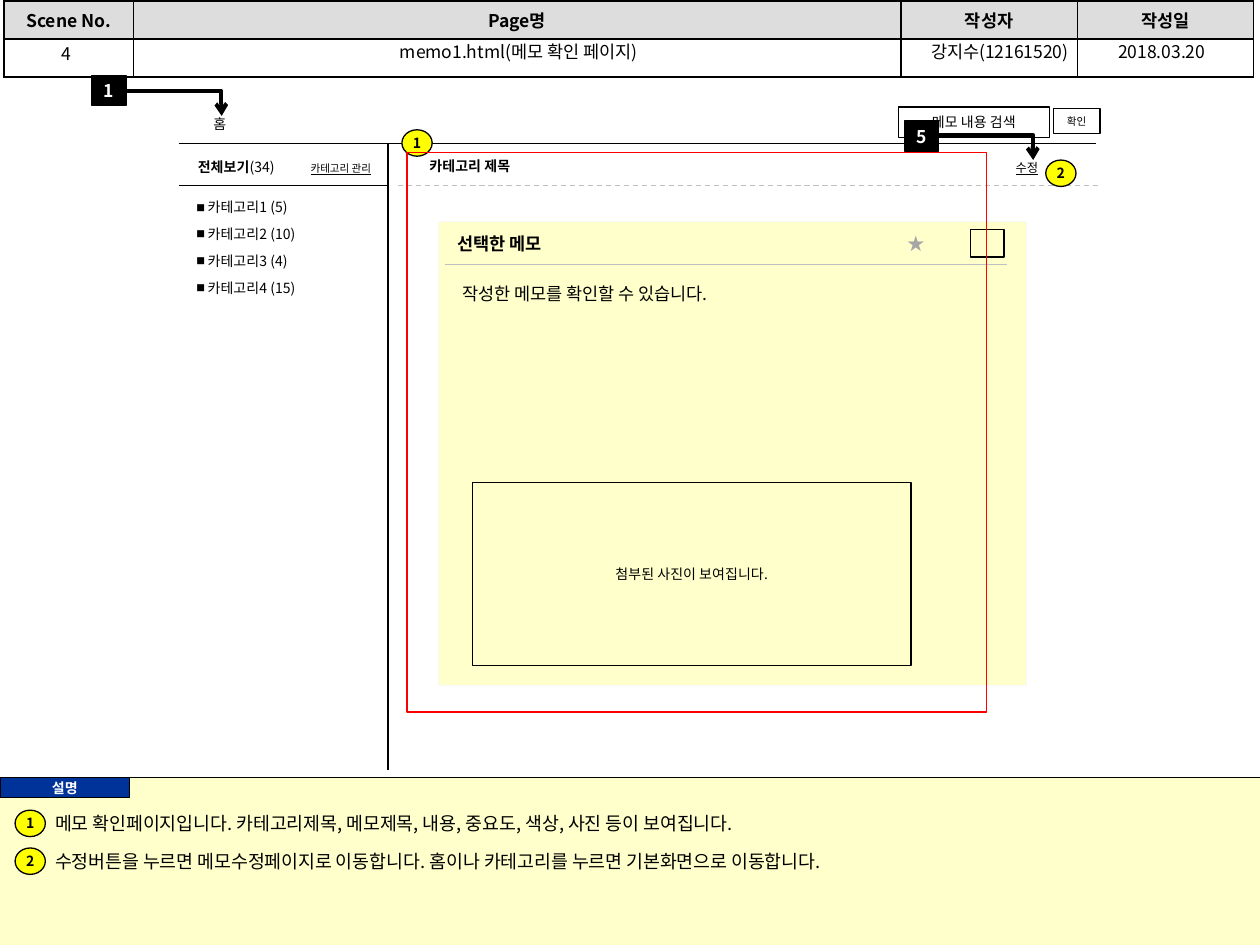
import pptx
import pptx.util
import pptx.dml.color
import pptx.enum.dml
import pptx.enum.shapes
import pptx.enum.text
import pptx.oxml.ns
from lxml import etree

FONT = "Noto Sans CJK KR"
BLACK, WHITE, CREAM, YELLOW, GREY = "000000", "FFFFFF", "FFFFCC", "FFFF00", "BFBFBF"
RECT = pptx.enum.shapes.MSO_SHAPE.RECTANGLE
OVAL = pptx.enum.shapes.MSO_SHAPE.OVAL
CENTER, LEFT = pptx.enum.text.PP_ALIGN.CENTER, pptx.enum.text.PP_ALIGN.LEFT
MIDDLE = pptx.enum.text.MSO_ANCHOR.MIDDLE
inch, pt = pptx.util.Inches, pptx.util.Pt
rgb = pptx.dml.color.RGBColor.from_string
qn = pptx.oxml.ns.qn

prs = pptx.Presentation()
prs.slide_width, prs.slide_height = inch(10), inch(7.5)
s = prs.slides.add_slide(prs.slide_layouts[6])


def write(tf, runs, size, align=CENTER, wrap=True):
    """Fill a text frame's paragraph with (text, colour, styles) runs; styles holds b and u."""
    tf.word_wrap = wrap
    p = tf.paragraphs[0]
    p.alignment = align
    for text, color, styles in runs:
        r = p.add_run()
        r.text = text
        r.font.size, r.font.name = pt(size), FONT
        r.font.bold, r.font.underline = "b" in styles, "u" in styles
        r.font.color.rgb = rgb(color)
        etree.SubElement(r.font._element, qn("a:ea"), typeface=FONT)
    return p


def box(kind, at, fill=None, line=None, weight=0.75):
    """Add a preset shape with its fill and outline; None leaves either one out."""
    sp = s.shapes.add_shape(kind, *map(inch, at))
    sp.shadow.inherit = False
    for part, color in ((sp.fill, fill), (sp.line.fill, line)):
        if color:
            part.solid()
            part.fore_color.rgb = rgb(color)
        else:
            part.background()
    if line:
        sp.line.width = pt(weight)
    sp.text_frame.vertical_anchor = MIDDLE
    return sp


# Description panel and its tab
box(RECT, (0, 6.17, 10, 1.33), CREAM)
tab = box(RECT, (0, 6.17, 1.03, 0.16), "003399", BLACK)
write(tab.text_frame, [("설명", WHITE, "b")], 8, wrap=False)

# Page header table
widths = (1.03, 6.09, 1.4, 1.4)
headings = ("Scene No.", "Page명", "작성자", "작성일")
table = s.shapes.add_table(2, 4, inch(0.03), inch(0.01), inch(sum(widths)), inch(0.6)).table
for col, (width, heading) in enumerate(zip(widths, headings)):
    table.columns[col].width = inch(width)
    for row in range(2):
        cell = table.cell(row, col)
        for side in ("a:lnL", "a:lnR", "a:lnT", "a:lnB"):
            ln = etree.SubElement(cell._tc.get_or_add_tcPr(), qn(side), w=str(pt(1)))
            etree.SubElement(etree.SubElement(ln, qn("a:solidFill")), qn("a:srgbClr"), val=BLACK)
        if row == 0:
            cell.fill.solid()
            cell.fill.fore_color.rgb = rgb("DDDDDD")
            write(cell.text_frame, [(heading, BLACK, "b")], 10)
        else:
            cell.fill.background()
            etree.SubElement(cell.text_frame.paragraphs[0]._p, qn("a:endParaRPr"), sz="1000")

# Memo card, colour swatch and photo area
box(RECT, (3.48, 1.76, 4.67, 3.68), CREAM, "F9F9F9")
box(RECT, (7.7, 1.82, 0.27, 0.22), CREAM, BLACK)
photo = box(RECT, (3.75, 3.83, 3.48, 1.45), CREAM, BLACK)
write(photo.text_frame, [("첨부된 사진이 보여집니다.", BLACK, "")], 8)

# Search field and button
search = box(RECT, (7.13, 0.85, 1.2, 0.24), None, BLACK)
write(search.text_frame, [("메모 내용 검색", BLACK, "")], 8)
confirm = box(RECT, (8.36, 0.86, 0.37, 0.2), None, BLACK)
write(confirm.text_frame, [("확인", BLACK, "")], 6, wrap=False)

# Dividers, then elbow arrows
dividers = [
    ((0, 6.17, 10, 6.17), BLACK),
    ((1.42, 1.14, 8.7, 1.14), BLACK),
    ((3.08, 1.14, 3.08, 6.11), BLACK),
    ((1.42, 1.47, 3.08, 1.47), BLACK),
    ((3.16, 1.47, 8.74, 1.47), GREY),
    ((3.53, 2.1, 7.99, 2.1), GREY),
    ((7.45, 1.07, 8.2, 1.27), BLACK),
    ((1, 0.72, 1.76, 0.92), BLACK),
]
for ends, color in dividers:
    x1, y1, x2, y2 = ends
    elbow = x1 != x2 and y1 != y2
    kinds = pptx.enum.shapes.MSO_CONNECTOR
    c = s.shapes.add_connector(kinds.ELBOW if elbow else kinds.STRAIGHT, *map(inch, ends))
    c.line.color.rgb = rgb(color)
    c.line.width = pt(2.25 if elbow else 0.75)
    if x1 == 3.16:
        c.line.dash_style = pptx.enum.dml.MSO_LINE.DASH
    if elbow:
        etree.SubElement(c.line._get_or_add_ln(), qn("a:tailEnd"), type="arrow")
        guides = c._element.spPr.find(qn("a:prstGeom")).find(qn("a:avLst"))
        etree.SubElement(guides, qn("a:gd"), name="adj1", fmla="val 99500")
    etree.SubElement(c._element.spPr, qn("a:effectLst"))

# Labels: place, runs, size, alignment
labels = [
    ((0, 0.29, 1.06, 0.26), [("4", BLACK, "")], 10, CENTER),
    ((1.11, 0.28, 6.01, 0.26), [("memo1.html(메모 확인 페이지)", BLACK, "")], 10, CENTER),
    ((7.17, 0.28, 1.53, 0.26), [("강지수(12161520)", BLACK, "")], 10, CENTER),
    ((8.56, 0.28, 1.32, 0.26), [("2018.03.20", BLACK, "")], 10, CENTER),
    ((1.59, 0.87, 0.31, 0.24), [("홈", BLACK, "")], 8, CENTER),
    ((1.38, 1.21, 0.99, 0.24), [("전체보기", BLACK, "b"), ("(34)", BLACK, "")], 8, CENTER),
    ((2.32, 1.24, 0.77, 0.2), [("카테고리 관리", BLACK, "u")], 6, CENTER),
    ((3.01, 1.2, 1.44, 0.24), [("카테고리 제목", BLACK, "b")], 8, CENTER),
    ((7.6, 1.22, 1.1, 0.22), [("수정", BLACK, "u")], 7, CENTER),
    ((3.53, 1.8, 4.11, 0.27), [("선택한 메모\t", BLACK, "b"), ("★", "A6A6A6", "b")], 10, LEFT),
    ((3.57, 2.2, 2.85, 0.27), [("작성한 메모를 확인할 수 있습니다.", BLACK, "")], 10, LEFT),
    ((0.34, 6.4, 8.76, 0.28),
     [("메모 확인페이지입니다. 카테고리제목, 메모제목, 내용, 중요도, 색상, 사진 등이 보여집니다.", BLACK, "")],
     10.5, LEFT),
    ((0.34, 6.7, 8.76, 0.28),
     [("수정버튼을 누르면 메모수정페이지로 이동합니다. 홈이나 카테고리를 누르면 기본화면으로 이동합니다.", BLACK, "")],
     10.5, LEFT),
]
for at, runs, size, align in labels:
    p = write(s.shapes.add_textbox(*map(inch, at)).text_frame, runs, size, align)
    if "\t" in runs[0][0]:
        stops = etree.SubElement(p._p.get_or_add_pPr(), qn("a:tabLst"))
        etree.SubElement(stops, qn("a:tab"), pos=str(inch(3.57)), algn="l")

# Category list with square bullets
for i, count in enumerate((5, 10, 4, 15)):
    tb = s.shapes.add_textbox(inch(1.46), inch(1.53 + 0.213 * i), inch(1.7), inch(0.24))
    p = write(tb.text_frame, [(f"카테고리{i + 1} ({count})", BLACK, "")], 8, LEFT)
    pPr = p._p.get_or_add_pPr()
    pPr.set("marL", str(inch(0.09)))
    pPr.set("indent", str(-inch(0.09)))
    etree.SubElement(pPr, qn("a:buSzPct"), val="62000")
    etree.SubElement(pPr, qn("a:buFont"), typeface=FONT)
    etree.SubElement(pPr, qn("a:buChar"), char="■")

# Numbered markers: black squares for links, yellow ovals for notes
markers = [
    (RECT, 7.18, 0.96, "5"), (RECT, 0.73, 0.6, "1"),
    (OVAL, 3.19, 1.03, "1"), (OVAL, 8.3, 1.27, "2"),
    (OVAL, 0.12, 6.43, "1"), (OVAL, 0.12, 6.73, "2"),
]
for kind, left, top, number in markers:
    w, h, fill, color, size = (
        (0.27, 0.24, BLACK, WHITE, 10) if kind == RECT else (0.24, 0.21, YELLOW, BLACK, 8))
    tf = box(kind, (left, top, w, h), fill, BLACK).text_frame
    tf.margin_left = tf.margin_right = tf.margin_top = tf.margin_bottom = 0
    write(tf, [(number, color, "b")], size, wrap=False)

# Frame around the memo area
box(RECT, (3.23, 1.21, 4.6, 4.44), None, "FF0000", 1)

prs.save("out.pptx")
